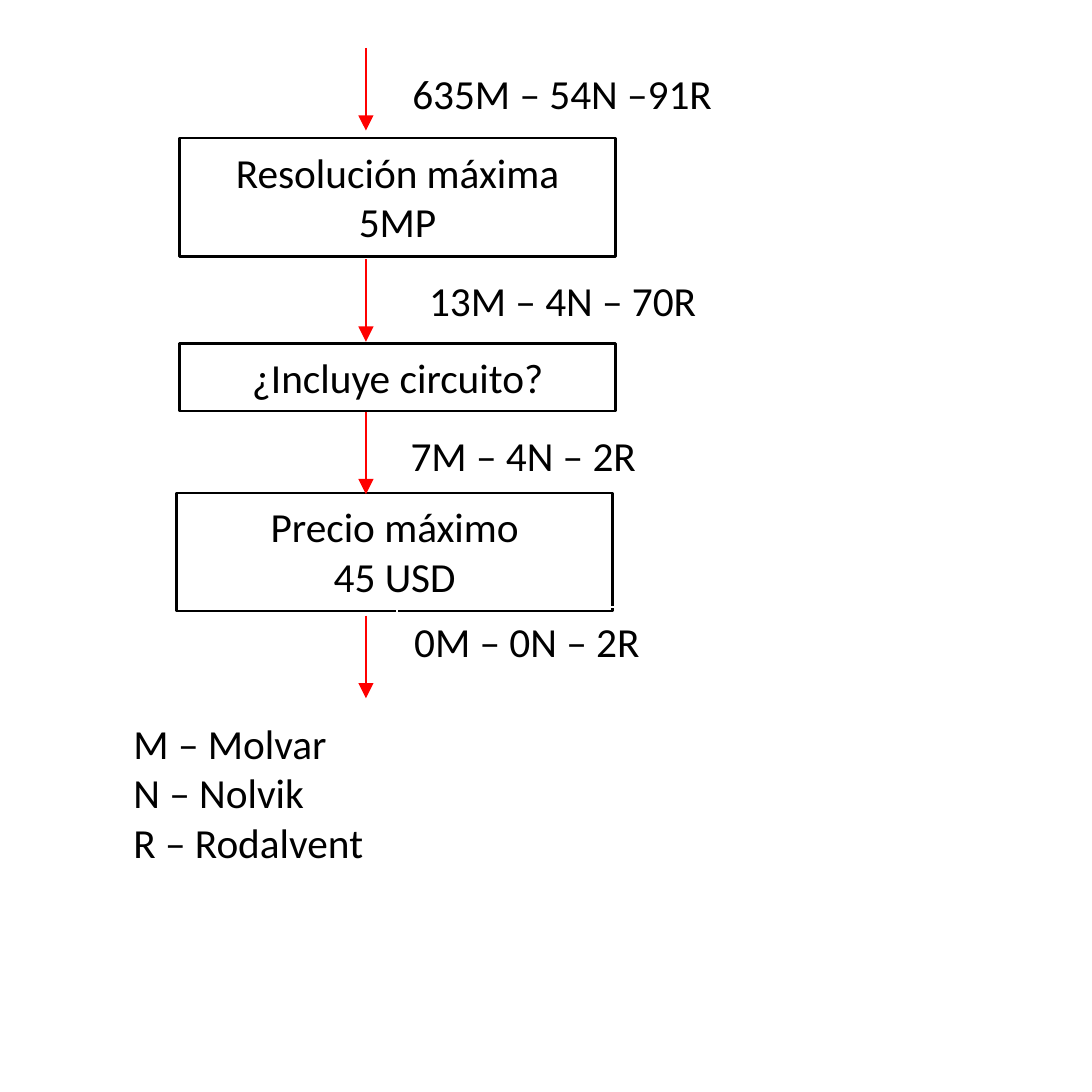
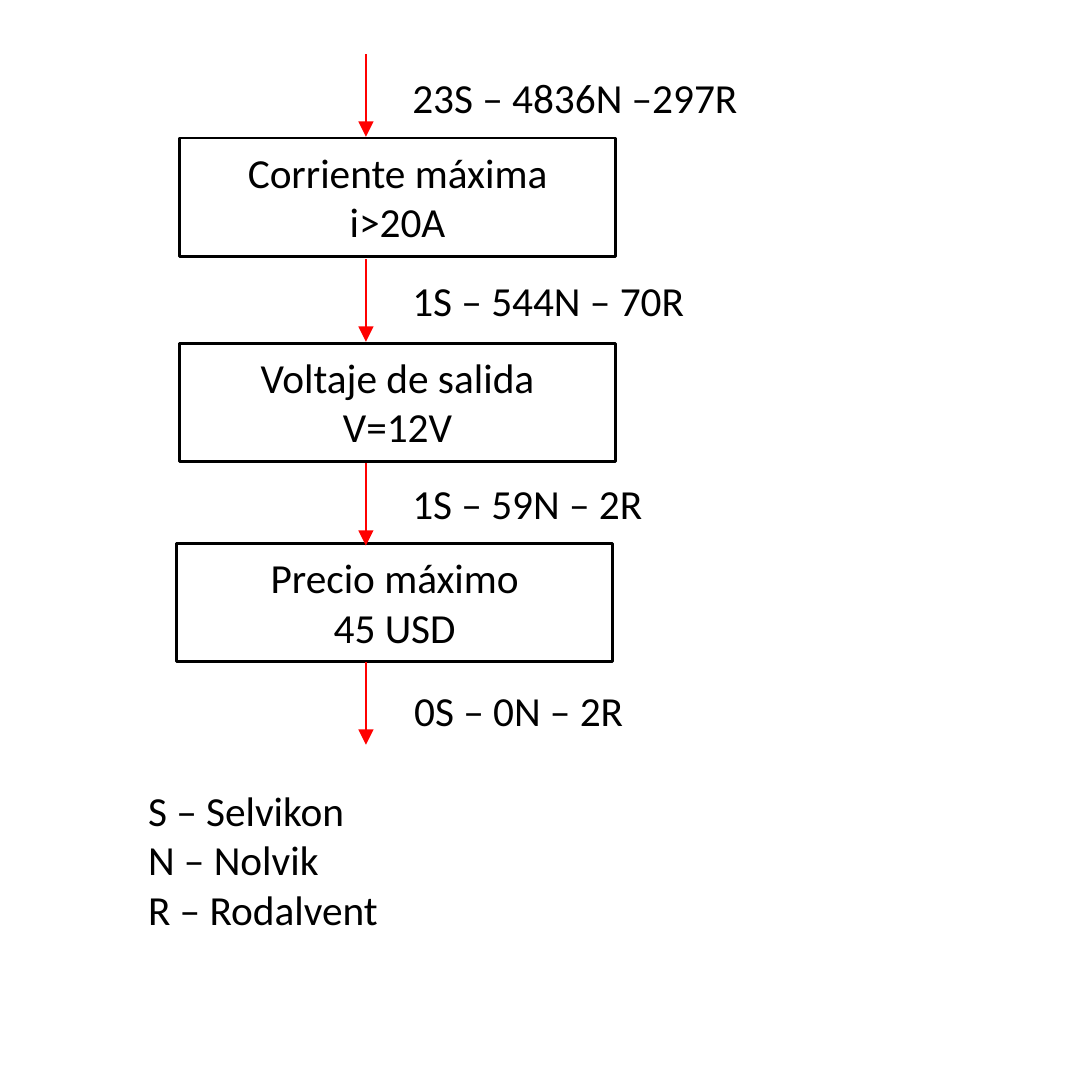
from pptx import Presentation
from pptx.dml.color import RGBColor
from pptx.enum.shapes import MSO_CONNECTOR as Conn
from pptx.enum.text import MSO_ANCHOR as Anchor, PP_ALIGN as Align
from pptx.oxml.ns import qn
from pptx.util import Pt
from lxml.etree import SubElement

# Shared style
BLACK = RGBColor(0x00, 0x00, 0x00)
WHITE = RGBColor(0xFF, 0xFF, 0xFF)
RED = RGBColor(0xFF, 0x00, 0x00)
LINE = 19.65   # height of one text line
PAD = 3.4      # space above and below the text
AXIS = 142.6   # x of all arrows
REACH = 32.2   # length of an arrow


def add_text(slide, left, top, width, text, align, edge, weight):
    """Add an outlined text box as tall as its lines."""
    rows = text.split("\n")
    box = slide.shapes.add_textbox(
        Pt(left), Pt(top), Pt(width), Pt(len(rows) * LINE + 2 * PAD))
    box.line.color.rgb = edge
    box.line.width = Pt(weight)
    frame = box.text_frame
    frame.word_wrap = True
    frame.vertical_anchor = Anchor.TOP
    frame.margin_left = frame.margin_right = Pt(6.6)
    frame.margin_top = frame.margin_bottom = Pt(PAD)
    frame.text = text
    for par in frame.paragraphs:
        par.alignment = align
        par.font.name = "Calibri"
        par.font.size = Pt(16.1)
        par.font.color.rgb = BLACK
    return box


def add_arrow(slide, top):
    """Add a red arrow that points down along the axis."""
    arrow = slide.shapes.add_connector(
        Conn.STRAIGHT, Pt(AXIS), Pt(top), Pt(AXIS), Pt(top + REACH))
    arrow.line.color.rgb = RED
    arrow.line.width = Pt(0.5)
    SubElement(arrow.line._get_or_add_ln(), qn("a:tailEnd"), type="triangle")
    SubElement(arrow._element.spPr, qn("a:effectLst"))


# Each flow: steps (left, top, text), counts (left, top, text),
# arrow tops and the legend (left, top, text)
FLOWS = [
    {
        "steps": [(69.9, 53.9, "Resolución máxima\n5MP"),
                  (69.9, 133.8, "¿Incluye circuito?"),
                  (68.8, 192.1, "Precio máximo\n45 USD")],
        "counts": [(154.1, 23.2, "635M – 54N –91R"),
                   (160.6, 103.8, "13M – 4N – 70R"),
                   (153.4, 164.1, "7M – 4N – 2R"),
                   (154.8, 236.7, "0M – 0N – 2R")],
        "arrows": [18.7, 101, 160.4, 239.9],
        "legend": (45.4, 276.4, "M – Molvar\nN – Nolvik\nR – Rodalvent"),
    },
    {
        "steps": [(69.9, 53.9, "Corriente máxima\ni>20A"),
                  (69.9, 133.8, "Voltaje de salida\nV=12V"),
                  (68.8, 211.8, "Precio máximo\n45 USD")],
        "counts": [(154.1, 24.8, "23S – 4836N –297R"),
                   (154.1, 103.8, "1S – 544N – 70R"),
                   (154.1, 182.9, "1S – 59N – 2R"),
                   (154.8, 263.5, "0S – 0N – 2R")],
        "arrows": [21.1, 101, 180.4, 258],
        "legend": (51.1, 302.4, "S – Selvikon\nN – Nolvik\nR – Rodalvent"),
    },
]

deck = Presentation()
deck.slide_width = deck.slide_height = Pt(425.5)

for flow in FLOWS:
    slide = deck.slides.add_slide(deck.slide_layouts[6])

    # Filter steps
    for left, top, text in flow["steps"]:
        step = add_text(slide, left, top, 170, text, Align.CENTER, BLACK, 1)
        step.fill.solid()
        step.fill.fore_color.rgb = WHITE

    # Arrows and the counts beside them
    for top in flow["arrows"]:
        add_arrow(slide, top)
    for left, top, text in flow["counts"]:
        add_text(slide, left, top, 158.4, text, Align.LEFT, WHITE, 0.75)

    # Legend
    left, top, text = flow["legend"]
    add_text(slide, left, top, 110.2, text, Align.LEFT, WHITE, 0.75)

deck.save("out.pptx")
